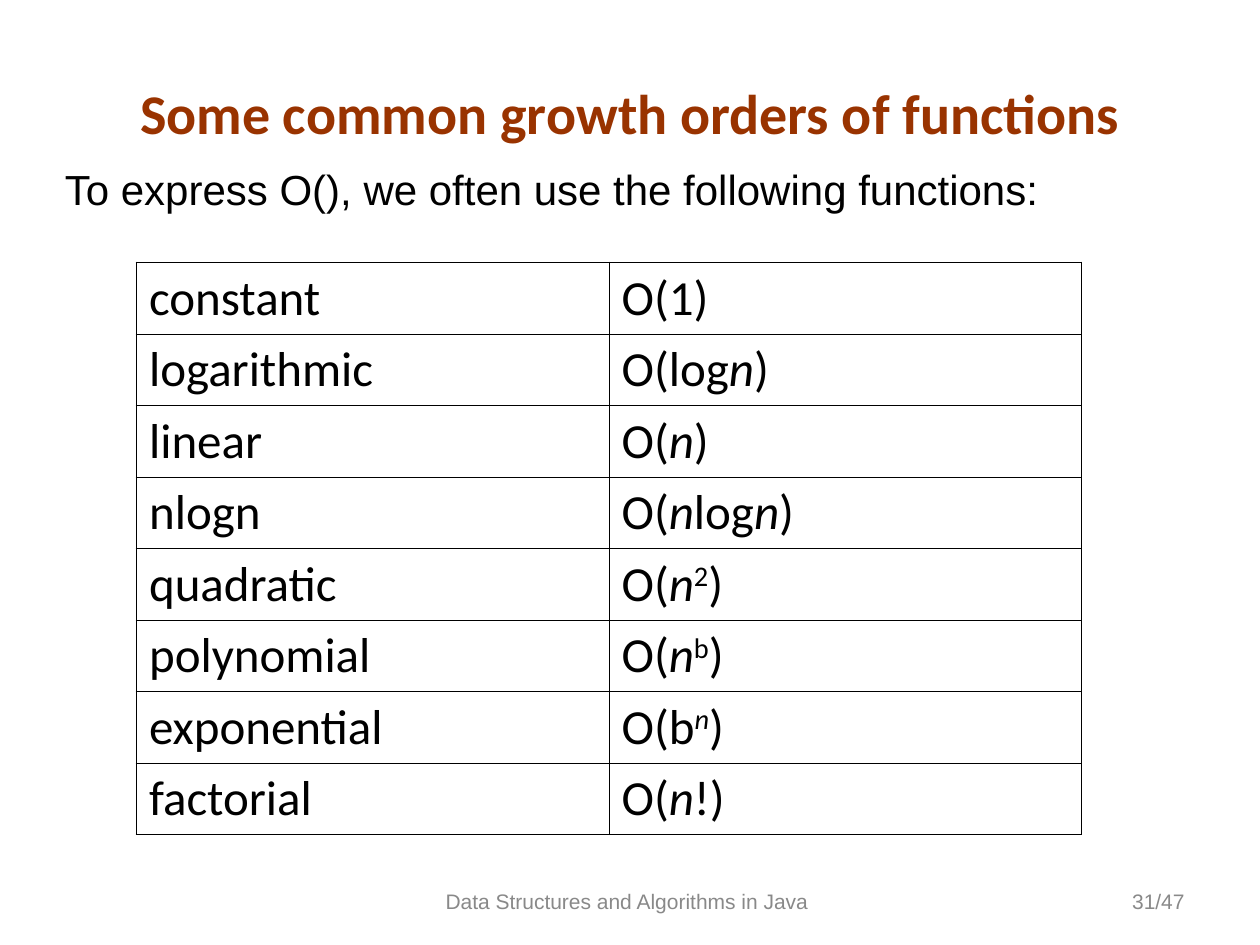
from lxml import etree
from pptx import Presentation
from pptx import util as u
from pptx.dml.color import RGBColor
from pptx.enum import text
from pptx.oxml.ns import qn

COLUMNS, ROWS = 120, 90
WIDTH, HEIGHT = u.Inches(10), u.Inches(7.5)
OUTER_LINE, INNER_LINE = 1.08, 0.45

TITLE = {"size": u.Pt(32), "name": "Calibri", "bold": True, "color": "993300"}
INTRO = {"size": u.Pt(24), "name": "Arial", "color": "000000"}
FOOTER = {"size": u.Pt(12), "name": "Arial", "color": "898989"}
CELL = {"size": u.Pt(28), "name": "Calibri", "color": "000000"}

N = ("n", "italic")
GROWTH_ORDERS = [
    ("constant", ["O(1)"]),
    ("logarithmic", ["O(log", N, ")"]),
    ("linear", ["O(", N, ")"]),
    ("nlogn", ["O(", N, "log", N, ")"]),
    ("quadratic", ["O(", N, ("2", "raised"), ")"]),
    ("polynomial", ["O(", N, ("b", "raised"), ")"]),
    ("exponential", ["O(b", ("n", "italic raised"), ")"]),
    ("factorial", ["O(", N, "!)"]),
]


def grid(left, top, width, height):
    across, down = WIDTH / COLUMNS, HEIGHT / ROWS
    return [round(n) for n in (left * across, top * down, width * across, height * down)]


def paint(color_format, color):
    color_format.rgb = RGBColor.from_string(color)


def add_run(paragraph, piece, formats):
    words, style = (piece, "") if isinstance(piece, str) else piece
    run = paragraph.add_run()
    run.text = words
    for name, value in formats.items():
        if name == "color":
            paint(run.font.color, value)
        else:
            setattr(run.font, name, value)
    if "italic" in style:
        run.font.italic = True
    if "raised" in style:
        run._r.get_or_add_rPr().set("baseline", "30000")


def add_text(slide, box, words, formats, align="LEFT", anchor="TOP", grow=False):
    frame = slide.shapes.add_textbox(*grid(*box)).text_frame
    frame.word_wrap = True
    frame.vertical_anchor = text.MSO_ANCHOR[anchor]
    if grow:
        frame.auto_size = text.MSO_AUTO_SIZE.SHAPE_TO_FIT_TEXT
    paragraph = frame.paragraphs[0]
    paragraph.alignment = text.PP_ALIGN[align]
    add_run(paragraph, words, formats)


def set_borders(cell, outer_sides):
    properties = cell._tc.get_or_add_tcPr()
    for index, side in enumerate("LRTB"):
        points = OUTER_LINE if side in outer_sides else INNER_LINE
        line = etree.Element(qn(f"a:ln{side}"), w=str(u.Pt(points)))
        fill = etree.SubElement(line, qn("a:solidFill"))
        etree.SubElement(fill, qn("a:srgbClr"), val="000000")
        properties.insert(index, line)


def add_growth_table(slide, box):
    last = len(GROWTH_ORDERS) - 1
    table = slide.shapes.add_table(last + 1, 2, *grid(*box)).table
    table.first_row = table.horz_banding = False
    for row, (name, formula) in enumerate(GROWTH_ORDERS):
        for column, pieces in enumerate(([name], formula)):
            cell = table.cell(row, column)
            cell.fill.background()
            for piece in pieces:
                add_run(cell.text_frame.paragraphs[0], piece, CELL)
            edges = {0: "T", last: "B"}.get(row, "")
            set_borders(cell, "LR"[column] + edges)


def main():
    presentation = Presentation()
    presentation.slide_width, presentation.slide_height = WIDTH, HEIGHT
    slide = presentation.slides.add_slide(presentation.slide_layouts[6])
    paint_background = slide.background.fill
    paint_background.solid()
    paint(paint_background.fore_color, "FFFFFF")
    add_text(slide, (38, 83.4, 44, 4.8), "Data Structures and Algorithms in Java ",
             FOOTER, "CENTER", "MIDDLE")
    add_text(slide, (86, 83.4, 28, 4.8), "31/47", FOOTER, "RIGHT", "MIDDLE")
    add_text(slide, (4, 7, 112, 7.5), "Some common growth orders of functions",
             TITLE, "CENTER", "BOTTOM", grow=True)
    add_growth_table(slide, (13, 25, 90, 54.4))
    add_text(slide, (5, 15, 103, 6),
             "To express O(), we often use the following functions:", INTRO, grow=True)
    presentation.save("out.pptx")


if __name__ == "__main__":
    main()
